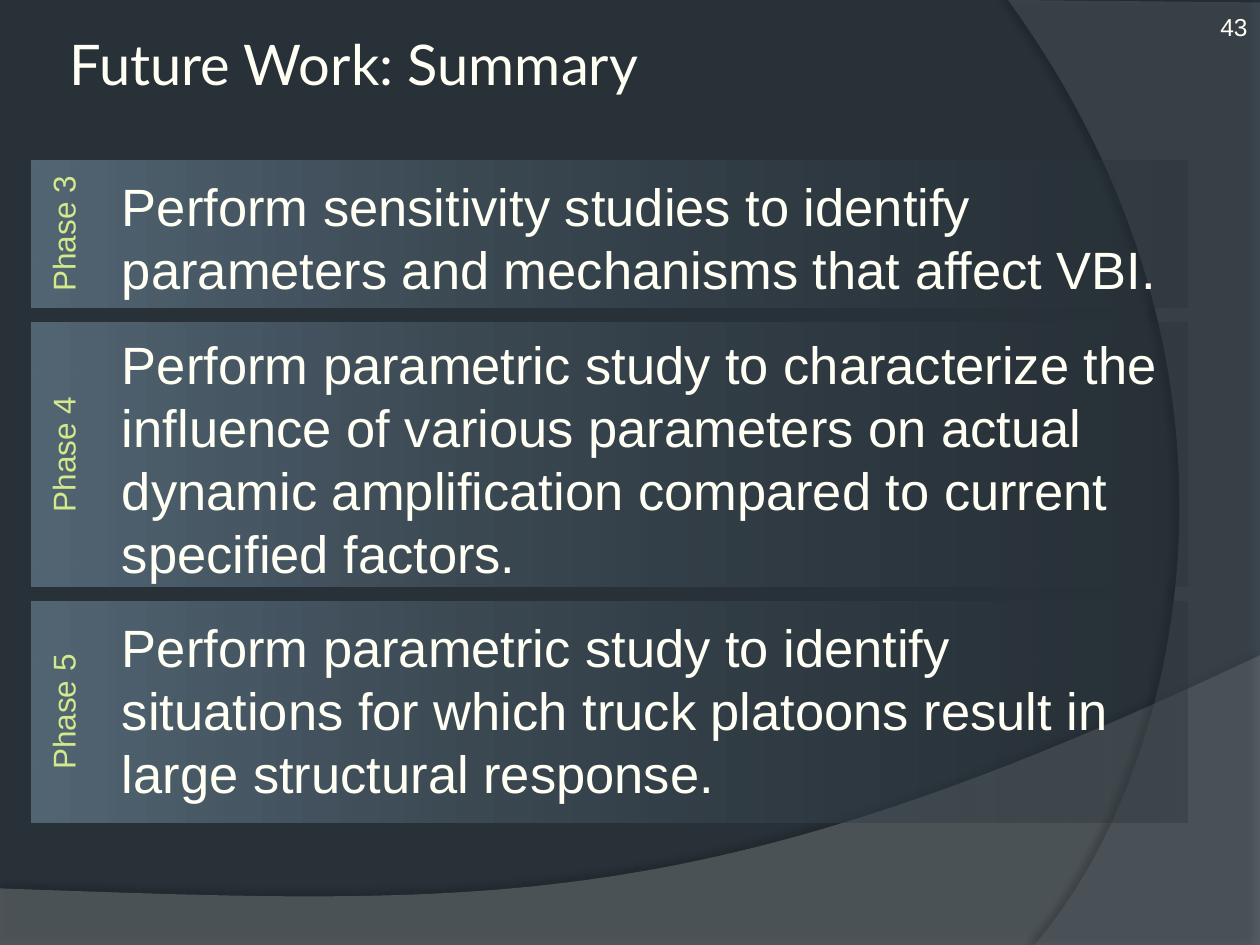
import pptx
import pptx.util
import pptx.dml.color
import pptx.enum.shapes
import pptx.enum.text
import pptx.oxml.ns
from dataclasses import dataclass
from lxml import etree

Cm, Pt = pptx.util.Cm, pptx.util.Pt
Rgb = pptx.dml.color.RGBColor.from_string
Align, Anchor = pptx.enum.text.PP_ALIGN, pptx.enum.text.MSO_ANCHOR
qn = pptx.oxml.ns.qn


@dataclass
class Theme:
    back: str = "283138"
    wave: str = "808487"
    arc: str = "5C666F"
    band: str = "536674"
    text: str = "FFFFF3"
    label: str = "D3E98C"
    shade: str = "000000"
    head: str = "Lato"
    body: str = "Arial"
    title: int = 32
    main: int = 30
    phase: int = 18
    page: int = 14


theme = Theme()


def write(frame, *lines, size, color=theme.text, font=theme.body, align=Align.LEFT,
          anchor=Anchor.TOP, inset=(0.25, 0.13, 0.25, 0.13), lead=None, gap=(0, 0), indent=0):
    """Fill a text frame with one paragraph per line; lengths in cm, gaps in points."""
    frame.word_wrap = True
    frame.vertical_anchor = anchor
    (frame.margin_left, frame.margin_top,
     frame.margin_right, frame.margin_bottom) = map(Cm, inset)
    for i, line in enumerate(lines):
        para = frame.paragraphs[0] if i == 0 else frame.add_paragraph()
        para.text = line
        para.alignment = align
        para.line_spacing = lead
        para.space_before, para.space_after = Pt(gap[0] if i else 0), Pt(gap[1])
        if indent:
            props = para._p.get_or_add_pPr()
            props.set("marL", str(Cm(indent)))
            props.set("indent", "0")
        para.font.size, para.font.name = Pt(size), font
        para.font.color.rgb = Rgb(color)


def fade(node, share):
    """Give a colour element an opacity in percent."""
    etree.SubElement(node, qn("a:alpha"), val=str(share * 1000))


deck = pptx.Presentation()
deck.slide_width, deck.slide_height = Cm(25.4), Cm(19.05)
slide = deck.slides.add_slide(deck.slide_layouts[5])
slide.background.fill.solid()
slide.background.fill.fore_color.rgb = Rgb(theme.back)
shapes = slide.shapes

# Backdrop sweeps: two corners, then a Bezier curve; shadow is share, distance, angle
sweeps = [
    (theme.wave, 45, [(0, 19.05), (25.4, 19.05)],
     [(25.4, 13.21), (14.2, 18.52), (9.93, 18.26), (0, 17.91)], (35, 3.5, 270)),
    (theme.arc, 40, [(25.4, 0.05), (25.4, 19.05)],
     [(20.85, 19.05), (23.75, 15.72), (25.86, 7.62), (20.32, 0)], (45, 4, 180)),
]
steps = 60
for color, share, ends, curve, (dark, dist, angle) in sweeps:
    points = list(ends)
    for i in range(steps + 1):
        t = i / steps
        mix = ((1 - t) ** 3, 3 * t * (1 - t) ** 2, 3 * t * t * (1 - t), t ** 3)
        points.append([sum(m * p[axis] for m, p in zip(mix, curve)) for axis in (0, 1)])
    points = [(Cm(x), Cm(y)) for x, y in points]
    path = shapes.build_freeform(*points[0])
    path.add_line_segments(points[1:], close=True)
    sweep = path.convert_to_shape()
    sweep.fill.solid()
    sweep.fill.fore_color.rgb = Rgb(color)
    fade(sweep._element.spPr.find(".//" + qn("a:srgbClr")), share)
    sweep.line.fill.background()
    sweep.shadow.inherit = False
    glow = etree.SubElement(
        sweep._element.spPr.find(qn("a:effectLst")), qn("a:outerShdw"),
        blurRad=str(Pt(4)), dist=str(Pt(dist)), dir=str(angle * 60000),
        algn="ctr", rotWithShape="0")
    fade(etree.SubElement(glow, qn("a:srgbClr"), val=theme.shade), dark)

# Phase bands, stacked with an equal gap
top = 3.23
for name, high in [("Phase 3", 2.97), ("Phase 4", 5.33), ("Phase 5", 4.45)]:
    band = shapes.add_shape(pptx.enum.shapes.MSO_SHAPE.RECTANGLE,
                            Cm(0.64), Cm(top), Cm(23.29), Cm(high))
    band.shadow.inherit = False
    band.line.fill.background()
    band.fill.gradient()
    band.fill.gradient_angle = 0
    for stop, color, spot in zip(band.fill.gradient_stops, (theme.band, theme.back), (0, 1)):
        stop.color.rgb = Rgb(color)
        stop.position = spot
    fade(band._element.spPr.findall(".//" + qn("a:srgbClr"))[1], 32)
    write(band.text_frame, name, size=theme.phase, color=theme.label, align=Align.CENTER)
    band.text_frame._txBody.bodyPr.set("vert", "vert270")
    top += high + 0.3

# Title
title = shapes.title
title.left, title.top, title.width, title.height = Cm(1.27), Cm(0.43), Cm(22.86), Cm(1.7)
write(title.text_frame, "Future Work: Summary", size=theme.title, font=theme.head,
      anchor=Anchor.MIDDLE, inset=(0.13,) * 4)
shapes._spTree.append(title._element)

# Tasks, one paragraph for each phase
tasks = shapes.add_textbox(Cm(2.11), Cm(2.62), Cm(22.02), Cm(14.48))
write(tasks.text_frame,
      "Perform sensitivity studies to identify parameters and mechanisms that affect VBI.",
      "Perform parametric study to characterize the influence of various parameters on "
      "actual dynamic amplification compared to current specified factors.",
      "Perform parametric study to identify situations for which truck platoons result in "
      "large structural response.",
      size=theme.main, anchor=Anchor.MIDDLE, lead=Pt(36), gap=(6, 12), indent=0.1)

# Page number
page = shapes.add_textbox(Cm(23.29), Cm(0), Cm(2.11), Cm(1.02))
write(page.text_frame, "43", size=theme.page, align=Align.RIGHT, inset=(0, 0.25, 0.25, 0))

deck.save("out.pptx")
